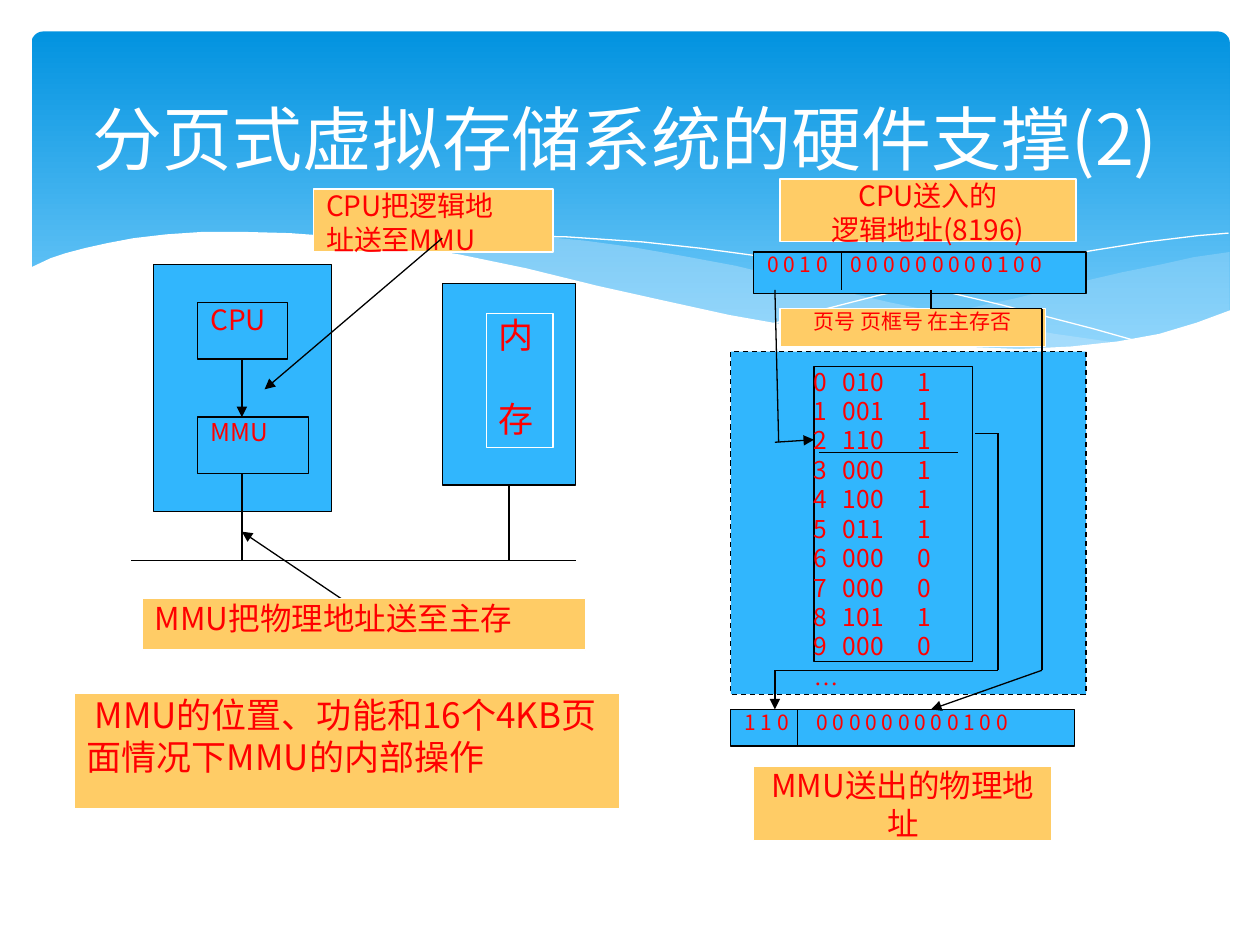
from lxml import etree
from pptx import Presentation, util as u
from pptx.dml.color import RGBColor
from pptx.enum import dml, shapes as es, text as et
from pptx.oxml.ns import qn

BLUE = RGBColor(0x31, 0xB6, 0xFD)
GOLD = RGBColor(0xFF, 0xCC, 0x66)
PALE = RGBColor(0xC6, 0xE7, 0xFC)
DEEP = RGBColor(0x02, 0x93, 0xE0)
SKY = RGBColor(0x83, 0xD3, 0xFE)
RED = RGBColor(0xFF, 0, 0)
WHITE = RGBColor(0xFF, 0xFF, 0xFF)
BLACK = RGBColor(0, 0, 0)
FONT = "Noto Sans CJK JP"
LEFT, MID = et.PP_ALIGN.LEFT, et.PP_ALIGN.CENTER

# Wave outlines of the banner, in inches
RIGHT = [(9.76, 2), (9.48, 2.04), (9.21, 2.1), (8.91, 2.16), (8.61, 2.23),
         (8.05, 2.37), (7.53, 2.48), (7.06, 2.57), (6.61, 2.65), (6.91, 2.69),
         (7.32, 2.74), (7.69, 2.77), (8.14, 2.78), (8.54, 2.76), (8.89, 2.72),
         (9.21, 2.65), (9.49, 2.57), (9.76, 2.47)]
BROAD = [(8.93, 2.73), (8.37, 2.65), (7.75, 2.54), (7.06, 2.4), (6.29, 2.22),
         (5.84, 2.11), (5.41, 2.03), (5.01, 1.96), (4.64, 1.91), (4.2, 1.87),
         (3.8, 1.85), (3.44, 1.86), (3.13, 1.88), (2.86, 1.91), (3.23, 1.96),
         (3.62, 2.03), (4.04, 2.11), (4.49, 2.22), (5.3, 2.4), (6.01, 2.55),
         (6.5, 2.64), (6.95, 2.7), (7.36, 2.75), (7.85, 2.78), (8.28, 2.78),
         (8.67, 2.76)]
FALL = [(3.09, 1.95), (3.28, 1.92), (3.63, 1.89), (4.01, 1.87), (4.5, 1.88),
        (5.1, 1.92), (5.56, 1.97), (6.08, 2.04), (6.65, 2.13), (7.27, 2.26),
        (7.95, 2.42), (8.68, 2.61), (9.07, 2.72)]
RISE = [(6.13, 2.57), (6.52, 2.46), (6.95, 2.35), (7.48, 2.23), (8.06, 2.1),
        (8.66, 1.99), (9.1, 1.92), (9.51, 1.87), (9.75, 1.85)]
FRONT = [(9.77, 2.46), (9.5, 2.56), (9.2, 2.65), (8.87, 2.71), (8.5, 2.75),
         (8.09, 2.77), (7.61, 2.75), (7.08, 2.7), (6.47, 2.62), (5.79, 2.5),
         (5.29, 2.39), (4.75, 2.27), (4.18, 2.13), (3.65, 2.02), (3.15, 1.94),
         (2.71, 1.88), (2.3, 1.85), (1.93, 1.84), (1.61, 1.84), (1.32, 1.86),
         (1.06, 1.89), (0.85, 1.93), (0.67, 1.97), (0.52, 2.01), (0.4, 2.05),
         (0.23, 2.13), (0.23, 3.29), (9.77, 3.29)]

# Page table: page number, frame number, present bit
PAGES = ["010\t1", "001\t1", "110\t1", "000\t1", "100\t1",
         "011\t1", "000\t0", "000\t0", "101\t1", "000\t0"]
LOW = "0 0 0 0 0 0 0 0 0 1 0 0"


def face(run, name):
    run.font.name = name
    etree.SubElement(run.font._element, qn("a:ea")).set("typeface", name)


def write(shape, words, size=16, color=RED, align=LEFT, inset=0.1, tabs=(),
          gap=0, font=FONT, anchor=et.MSO_ANCHOR.TOP):
    frame = shape.text_frame
    frame.word_wrap = True
    frame.vertical_anchor = anchor
    frame.margin_left, frame.margin_right = u.Inches(inset), u.Inches(min(inset, 0.1))
    frame.margin_top = frame.margin_bottom = 0
    for i, line in enumerate(words.split("\n")):
        para = frame.paragraphs[0] if i == 0 else frame.add_paragraph()
        para.alignment = align
        para.line_spacing = u.Pt(size * 1.2)
        para.space_before = u.Pt(gap if i else 0)
        if tabs:
            stops = etree.SubElement(para._p.get_or_add_pPr(), qn("a:tabLst"))
            for pos in tabs:
                etree.SubElement(stops, qn("a:tab"), pos=str(u.Inches(pos)), algn="l")
        run = para.add_run()
        run.text = line
        run.font.size, run.font.color.rgb = u.Pt(size), color
        face(run, "Times New Roman" if line == "…" else font)


def box(slide, at, words="", fill=BLUE, edge=BLACK, dash=False, **style):
    shape = slide.shapes.add_shape(es.MSO_SHAPE.RECTANGLE, *map(u.Inches, at))
    shape.shadow.inherit = False
    shape.fill.solid()
    shape.fill.fore_color.rgb = fill
    shape.line.color.rgb, shape.line.width = edge, u.Pt(0.75)
    if dash:
        shape.line.dash_style = dml.MSO_LINE.DASH
    if words:
        write(shape, words, **style)


def label(slide, at, words, **style):
    box(slide, at, words, fill=GOLD, edge=WHITE, **style)


def route(slide, *points, arrow=False, width=0.75):
    """Straight lines from point to point, the last one with an optional arrowhead."""
    for a, b in zip(points, points[1:]):
        line = slide.shapes.add_connector(es.MSO_CONNECTOR.STRAIGHT,
                                          *map(u.Inches, a + b))
        line.line.color.rgb, line.line.width = BLACK, u.Pt(width)
        etree.SubElement(line.element.spPr, qn("a:effectLst"))
        if arrow and b == points[-1]:
            etree.SubElement(line.line._get_or_add_ln(), qn("a:tailEnd"), type="triangle")


def wave(slide, points, fill=None, alpha=100):
    points = [tuple(map(u.Inches, p)) for p in points]
    build = slide.shapes.build_freeform(*points[0], scale=1.0)
    build.add_line_segments(points[1:], close=fill is not None)
    shape = build.convert_to_shape()
    shape.shadow.inherit = False
    if fill is None:
        shape.fill.background()
        shape.line.color.rgb, shape.line.width = WHITE, 0
        return
    shape.line.fill.background()
    shape.fill.solid()
    shape.fill.fore_color.rgb = fill
    if alpha < 100:
        tint = shape.element.spPr.find(qn("a:solidFill"))[0]
        etree.SubElement(tint, qn("a:alpha"), val=str(alpha * 1000))


def banner(slide):
    shape = slide.shapes.add_shape(es.MSO_SHAPE.ROUNDED_RECTANGLE,
                                   *map(u.Inches, (0.25, 0.25, 9.51, 2.7)))
    shape.adjustments[0] = 0.034
    shape.shadow.inherit = False
    shape.line.fill.background()
    shape.fill.gradient()
    shape.fill.gradient_angle = 270
    for stop, color, pos in zip(shape.fill.gradient_stops, (DEEP, SKY), (0, 1)):
        stop.color.rgb, stop.position = color, pos
    wave(slide, RIGHT, PALE, 29)
    wave(slide, BROAD, PALE, 40)
    wave(slide, FALL)
    wave(slide, RISE)
    wave(slide, FRONT, WHITE)


def heading(slide, words):
    title = slide.shapes.title
    title.left, title.top, title.width, title.height = map(u.Inches, (0, 0.55, 9.92, 1.08))
    write(title, words, size=40, color=WHITE, align=MID, anchor=et.MSO_ANCHOR.MIDDLE)
    slide.shapes.element.append(title.element)  # in front of the banner


def layout(slide):
    """Left half: where the MMU sits."""
    box(slide, (1.22, 2.1, 1.41, 1.96))
    box(slide, (1.57, 2.4, 0.71, 0.45), "CPU")
    box(slide, (1.57, 3.31, 0.88, 0.45), "MMU", size=14)
    box(slide, (3.51, 2.25, 1.06, 1.6))
    box(slide, (3.86, 2.49, 0.53, 1.06), "内\n存", edge=WHITE, size=20, gap=24)
    route(slide, (1.92, 2.86), (1.92, 3.31), arrow=True)
    route(slide, (1.92, 3.76), (1.92, 4.45))
    route(slide, (4.04, 3.85), (4.04, 4.45))
    route(slide, (1.04, 4.45), (4.57, 4.45))
    route(slide, (2.81, 4.82), (1.92, 4.22), arrow=True)
    label(slide, (2.49, 1.5, 1.9, 0.5), "CPU把逻辑地\n址送至MMU")
    label(slide, (1.13, 4.75, 3.52, 0.41), "MMU把物理地址送至主存", size=18)
    label(slide, (0.59, 5.5, 4.33, 0.92),
          " MMU的位置、功能和16个4KB页面情况下MMU的内部操作", size=20)
    route(slide, (3.51, 1.89), (2.1, 3.09), arrow=True)


def mapping(slide):
    """Right half: from logical to physical address."""
    box(slide, (5.8, 2.79, 2.82, 2.72), dash=True)
    label(slide, (6.19, 1.42, 2.35, 0.5), "CPU送入的\n逻辑地址(8196)", align=MID)
    box(slide, (5.98, 2, 2.64, 0.33), "0 0 1 0\t" + LOW, size=12, inset=0.11, tabs=[0.66])
    box(slide, (5.8, 5.63, 2.73, 0.29), "1 1 0\t" + LOW, size=12, inset=0.11, tabs=[0.57])
    label(slide, (5.98, 6.08, 2.37, 0.59), "MMU送出的物理地址", size=18, align=MID)
    rows = [f"{i}\t{page}" for i, page in enumerate(PAGES)]
    box(slide, (6.46, 2.91, 1.26, 2.34), "\n".join(rows + ["…"]), size=14,
        inset=0, tabs=[0.23, 0.82])
    label(slide, (6.19, 2.45, 2.11, 0.3), "页号 页框号 在主存否", size=12, align=MID)
    # Field dividers and the selected row
    route(slide, (6.68, 2), (6.68, 2.3))
    route(slide, (6.33, 5.63), (6.33, 5.93))
    route(slide, (6.5, 3.59), (7.6, 3.59))
    # Page number, frame number and offset
    route(slide, (6.15, 2.3), (6.18, 3.51))
    route(slide, (6.15, 3.51), (6.46, 3.49), arrow=True)
    route(slide, (7.74, 3.44), (7.92, 3.44), (7.92, 5.32), (6.15, 5.32))
    route(slide, (6.15, 5.32), (6.15, 5.63), arrow=True, width=1.5)
    route(slide, (7.39, 2.3), (7.39, 2.45), (8.27, 2.45), (8.27, 5.32),
          (7.39, 5.63), arrow=True)


def main():
    deck = Presentation()
    deck.slide_width, deck.slide_height = u.Inches(10), u.Inches(7.5)
    slide = deck.slides.add_slide(deck.slide_layouts[5])
    banner(slide)
    heading(slide, "分页式虚拟存储系统的硬件支撑(2)")
    layout(slide)
    mapping(slide)
    deck.save("out.pptx")


if __name__ == "__main__":
    main()
